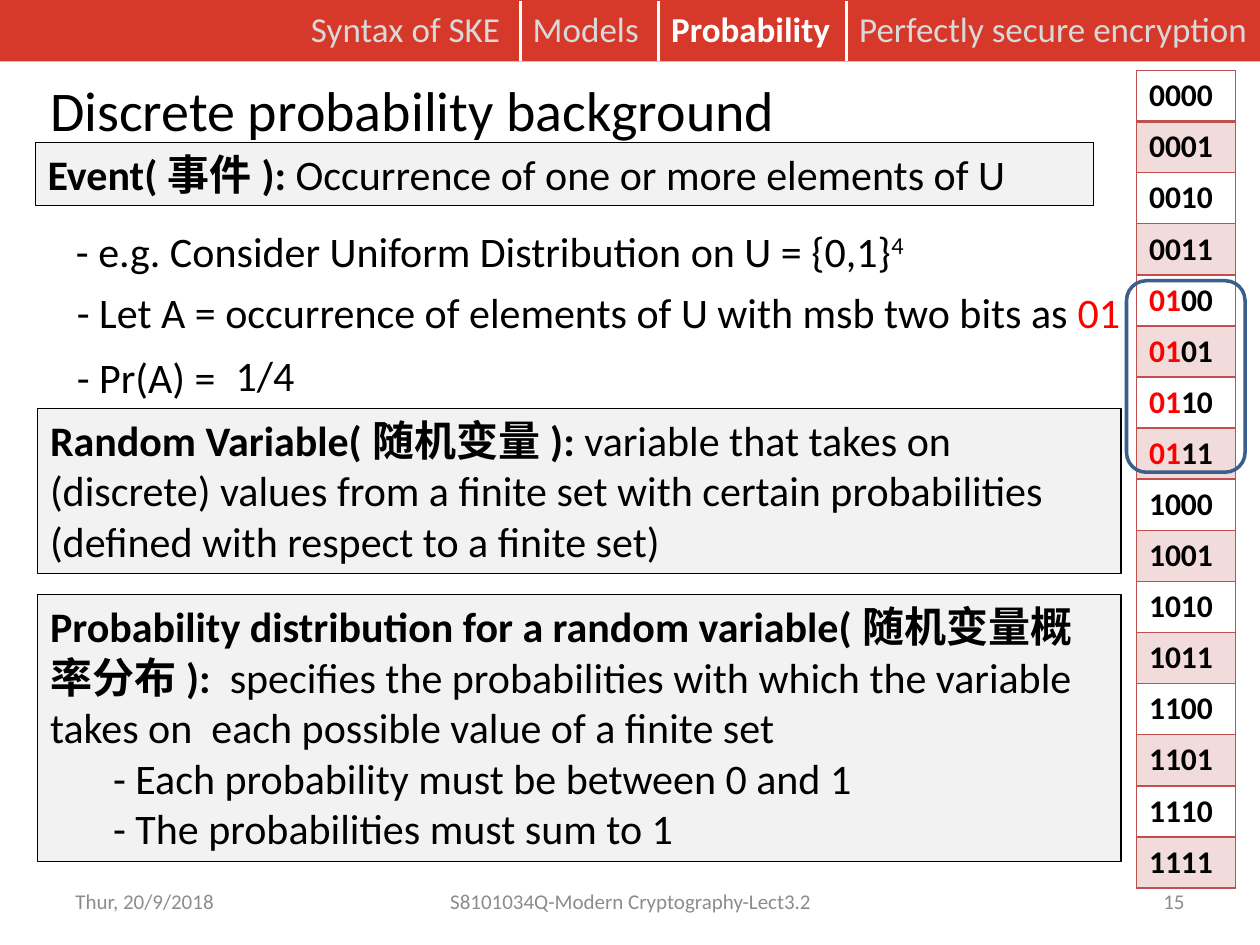
import pptx
import pptx.dml.color
import pptx.enum.shapes
import pptx.enum.text
import pptx.oxml
import pptx.oxml.ns
import pptx.util
from lxml import etree

Cm = pptx.util.Cm
Pt = pptx.util.Pt
RGBColor = pptx.dml.color.RGBColor
SHAPE = pptx.enum.shapes.MSO_SHAPE
ALIGN = pptx.enum.text.PP_ALIGN
ANCHOR = pptx.enum.text.MSO_ANCHOR
qn = pptx.oxml.ns.qn

BLACK = RGBColor(0x00, 0x00, 0x00)
WHITE = RGBColor(0xFF, 0xFF, 0xFF)
RED = RGBColor(0xFF, 0x00, 0x00)
BANNER = RGBColor(0xD6, 0x39, 0x2A)
PANEL = RGBColor(0xF2, 0xF2, 0xF2)
PALE = RGBColor(0xD9, 0xD9, 0xD9)
GREY = RGBColor(0x8C, 0x8C, 0x8C)
NAVY = RGBColor(0x3A, 0x5F, 0x8C)
BRICK = RGBColor(0xC0, 0x50, 0x4D)

LATIN = "Calibri"
CHINESE = "Noto Sans CJK SC"


def add_span(para, text, size=24, color=BLACK, bold=False, font=LATIN, raised=False):
    span = para.add_run()
    span.text = text
    span.font.name = font
    span.font.size = Pt(size)
    span.font.bold = bold
    span.font.color.rgb = color
    properties = span.font._element
    etree.SubElement(properties, qn("a:ea")).set("typeface", CHINESE)
    if raised:
        properties.set("baseline", "30000")


def add_text(page, left, top, width, height, text, wrap=True, align=ALIGN.LEFT,
             anchor=ANCHOR.TOP, **style):
    """Add a text box with one paragraph and return the paragraph."""
    box = page.shapes.add_textbox(Cm(left), Cm(top), Cm(width), Cm(height))
    box.text_frame.word_wrap = wrap
    box.text_frame.vertical_anchor = anchor
    para = box.text_frame.paragraphs[0]
    para.alignment = align
    add_span(para, text, **style)
    return para


def add_box(page, left, top, width, height, kind=SHAPE.RECTANGLE, fill=None,
            line=None, weight=0.75):
    box = page.shapes.add_shape(kind, Cm(left), Cm(top), Cm(width), Cm(height))
    box.shadow.inherit = False
    if fill is None:
        box.fill.background()
    else:
        box.fill.solid()
        box.fill.fore_color.rgb = fill
    if line is None:
        box.line.fill.background()
    else:
        box.line.color.rgb = line
        box.line.width = Pt(weight)
    return box


def add_definition(page, left, top, width, height, spans, points=()):
    """Add a framed panel: a definition and, below it, indented points."""
    box = add_box(page, left, top, width, height, fill=PANEL, line=BLACK)
    frame = box.text_frame
    frame.word_wrap = True
    frame.vertical_anchor = ANCHOR.TOP
    para = frame.paragraphs[0]
    para.alignment = ALIGN.LEFT
    for text, style in spans:
        add_span(para, text, **style)
    for point in points:
        para = frame.add_paragraph()
        para.alignment = ALIGN.LEFT
        para.level = 1
        para._p.get_or_add_pPr().set("marL", str(Cm(1.27)))
        add_span(para, point)


def add_divider(page, left):
    line = page.shapes.add_connector(
        pptx.enum.shapes.MSO_CONNECTOR.STRAIGHT, Cm(left), Cm(0.03), Cm(left), Cm(1.22))
    line.line.color.rgb = WHITE
    line.line.width = Pt(1.5)
    etree.SubElement(line._element.spPr, qn("a:effectLst"))


def style_cell(cell, shaded, bottom_weight):
    if shaded:
        cell.fill.solid()
        cell.fill.fore_color.rgb = BRICK
        color = cell.fill._xPr.find(".//" + qn("a:srgbClr"))
        etree.SubElement(color, qn("a:alpha")).set("val", "20000")
    else:
        cell.fill.background()
    # Borders come before the fill in the cell properties
    weights = {"lnL": 1, "lnR": 1, "lnT": 1, "lnB": bottom_weight}
    for index, (side, weight) in enumerate(weights.items()):
        border = etree.Element(qn("a:" + side), w=str(Pt(weight)))
        paint = etree.SubElement(border, qn("a:solidFill"))
        etree.SubElement(paint, qn("a:srgbClr")).set("val", str(BRICK))
        cell._tc.get_or_add_tcPr().insert(index, border)


def add_outcomes(page):
    """List all four-bit strings, with the leading 01 in red."""
    count, row_height = 16, 1.03
    table = page.shapes.add_table(
        count, 1, Cm(22.91), Cm(1.42), Cm(2), Cm(count * row_height)).table
    table.first_row = False
    table.horz_banding = False
    for number in range(count):
        table.rows[number].height = Cm(row_height)
        cell = table.cell(number, 0)
        style_cell(cell, number % 2 == 1, 2 if number == 0 else 1)
        bits = f"{number:04b}"
        para = cell.text_frame.paragraphs[0]
        if bits.startswith("01"):
            add_span(para, bits[:2], size=18, bold=True, color=RED)
            bits = bits[2:]
        add_span(para, bits, size=18, bold=True)


def add_banner(page):
    add_box(page, 0, 0, 25.4, 1.24, fill=BANNER)
    tabs = [(6.02, 4.5, "Syntax of SKE"), (10.49, 2.87, "Models"),
            (13.28, 4.01, "Probability"), (17.07, 8.56, "Perfectly secure encryption")]
    for left, width, text in tabs:
        current = text == "Probability"
        add_text(page, left, 0.03, width, 1.12, text, size=20, bold=current,
                 color=WHITE if current else PALE)
    for left, _, _ in tabs[1:]:
        add_divider(page, left)


def add_footer(page):
    for left, width, text, align in [
            (1.27, 5.92, "Thur, 20/9/2018", ALIGN.LEFT),
            (8.69, 8.05, "S8101034Q-Modern Cryptography-Lect3.2", ALIGN.CENTER),
            (18.21, 5.92, "15", ALIGN.RIGHT)]:
        add_text(page, left, 17.65, width, 1.02, text, align=align,
                 anchor=ANCHOR.MIDDLE, size=12, color=GREY)


def main():
    deck = pptx.Presentation()
    deck.slide_width, deck.slide_height = Cm(25.4), Cm(19.05)
    page = deck.slides.add_slide(deck.slide_layouts[6])
    strong = {"bold": True}
    chinese = {"bold": True, "font": CHINESE}

    # Banner and title
    add_banner(page)
    add_text(page, 0.76, 1.4, 21.31, 1.8, "Discrete probability background", size=32)

    # Event and its example
    add_definition(page, 0.71, 2.87, 21.34, 1.27, [
        ("Event(", strong), ("事件", chinese), ("):", strong),
        (" Occurrence of one or more elements of U", {})])
    para = add_text(page, 1.09, 4.42, 18.95, 1.27,
                    " - e.g. Consider Uniform Distribution on U = {0,1}")
    add_span(para, "4", raised=True)
    para = add_text(page, 1.3, 5.66, 22.3, 1.27,
                    "- Let A = occurrence of elements of U with msb two bits as ", wrap=False)
    add_span(para, "01", color=RED)
    add_text(page, 1.3, 6.96, 3.53, 1.27, "- Pr(A) =", wrap=False)
    add_text(page, 4.5, 6.93, 1.7, 1.27, "1/4", wrap=False)

    # Outcomes, with the event outlined
    add_outcomes(page)
    add_box(page, 22.71, 5.66, 2.39, 3.86, kind=SHAPE.ROUNDED_RECTANGLE, line=NAVY, weight=2)

    # Random variable and its distribution
    add_definition(page, 0.76, 8.23, 21.84, 3.33, [
        ("Random Variable(", strong), ("随机变量", chinese), ("): ", strong),
        ("variable that takes on (discrete) values from a finite set with certain "
         "probabilities (defined with respect to a finite set)", {})])
    add_definition(page, 0.76, 11.99, 21.84, 5.38, [
        ("Probability distribution for a random variable(随机变量概率分布):  ", strong),
        ("specifies the probabilities with which the variable takes on  each possible "
         "value of a finite set", {})],
        points=["- Each probability must be between 0 and 1",
                "- The probabilities must sum to 1"])

    add_footer(page)
    deck.save("out.pptx")


if __name__ == "__main__":
    main()
